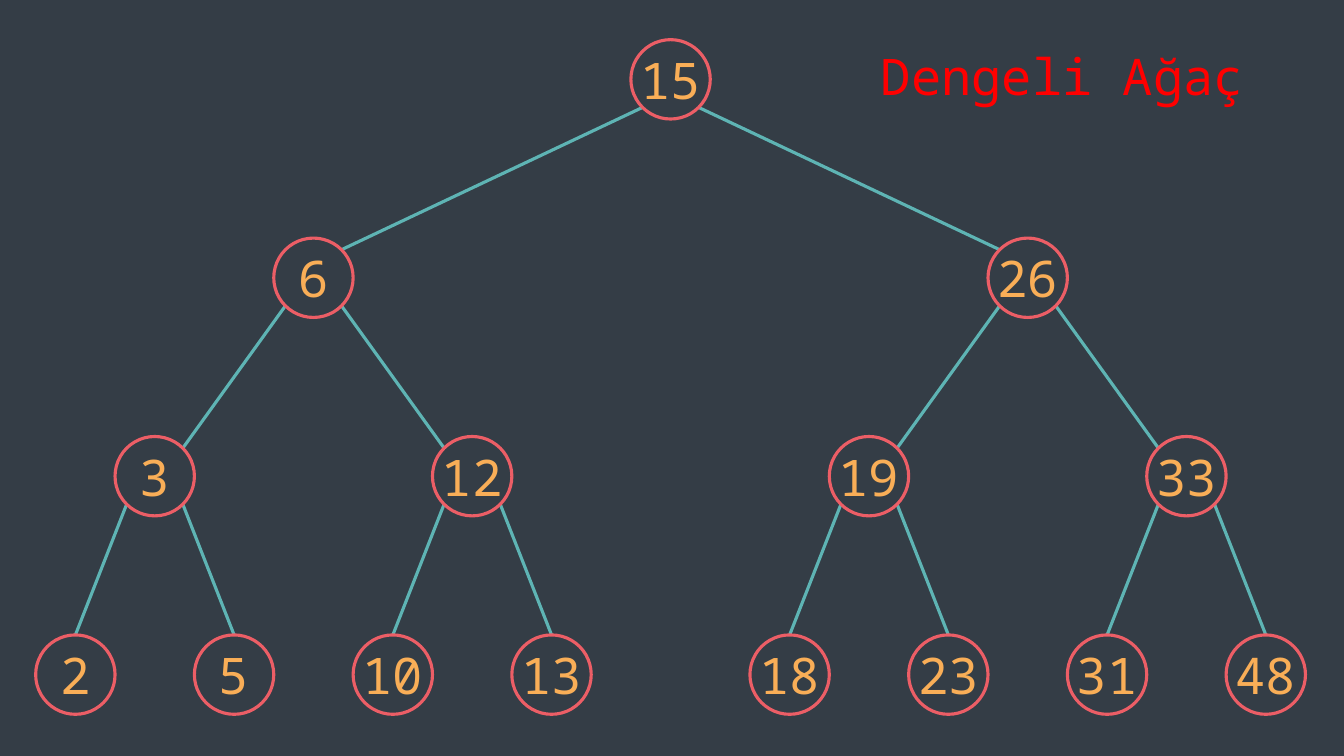
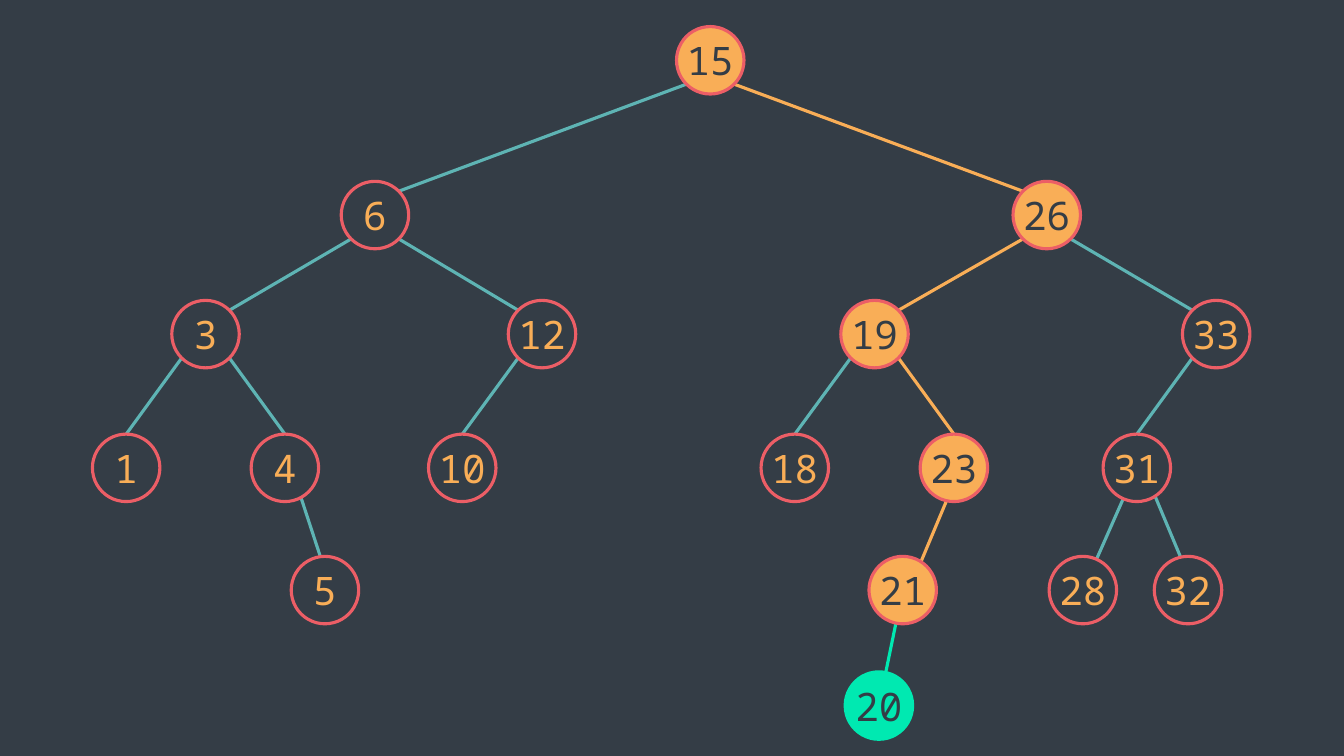
from dataclasses import dataclass
from math import sqrt

from lxml.etree import SubElement
from pptx import Presentation
from pptx.dml.color import RGBColor
from pptx.enum.shapes import MSO_CONNECTOR, MSO_SHAPE
from pptx.enum.text import MSO_ANCHOR, MSO_AUTO_SIZE, PP_ALIGN
from pptx.oxml.ns import qn
from pptx.util import Cm, Pt

BACKGROUND = RGBColor(0x34, 0x3D, 0x46)
CORAL = RGBColor(0xEC, 0x5E, 0x66)
TEAL = RGBColor(0x5E, 0xB4, 0xB4)
ORANGE = RGBColor(0xF9, 0xAE, 0x57)
GREEN = RGBColor(0x00, 0xE9, 0xB1)
RED = RGBColor(0xFF, 0x00, 0x00)
FONT = "Noto Sans Mono"
LINE_WIDTH = Pt(2.25)


@dataclass
class Style:
    fill: RGBColor
    outline: RGBColor
    text: RGBColor
    edge: RGBColor


PLAIN = Style(BACKGROUND, CORAL, ORANGE, TEAL)
VISITED = Style(ORANGE, CORAL, BACKGROUND, ORANGE)
INSERTED = Style(GREEN, GREEN, BACKGROUND, GREEN)

BALANCED_VALUES = [15, 6, 26, 3, 12, 19, 33, 2, 5, 10, 13, 18, 23, 31, 48]
BALANCED_OFFSETS = [9, 4, 2]
LEVEL_GAP = 5

SEARCH_LEVELS = [0, 3.9, 6.9, 10.27, 13.35, 16.26]
SEARCH_NODES = [
    (15, None, 14.72, 0),
    (6, 15, 6.27, 1),
    (26, 15, 23.2, 1),
    (3, 6, 2, 2),
    (12, 6, 10.48, 2),
    (19, 26, 18.86, 2),
    (33, 26, 27.47, 2),
    (1, 3, 0, 3),
    (4, 3, 4, 3),
    (10, 12, 8.47, 3),
    (18, 19, 16.85, 3),
    (23, 19, 20.86, 3),
    (31, 33, 25.47, 3),
    (5, 4, 5.01, 4),
    (21, 23, 19.57, 4),
    (28, 31, 24.11, 4),
    (32, 31, 26.76, 4),
    (20, 21, 18.97, 5),
]
SEARCH_STYLES = dict.fromkeys([15, 26, 19, 23, 21], VISITED) | {20: INSERTED}
EDGE_SHIFTS = {5: 0.16, 21: 0.16, 32: 0.16}


def add_slide(prs):
    s = prs.slides.add_slide(prs.slide_layouts[6])
    s.background.fill.solid()
    s.background.fill.fore_color.rgb = BACKGROUND
    return s


def write(tf, text, size, color, align=PP_ALIGN.LEFT):
    p = tf.paragraphs[0]
    p.alignment = align
    r = p.add_run()
    r.text = text
    r.font.name = FONT
    r.font.size = Pt(size)
    r.font.color.rgb = color


def add_title(s, text, left, top, width, height):
    sp = s.shapes.add_textbox(Cm(left), Cm(top), Cm(width), Cm(height))
    sp.text_frame.word_wrap = True
    sp.text_frame.auto_size = MSO_AUTO_SIZE.SHAPE_TO_FIT_TEXT
    write(sp.text_frame, text, 36, RED)


def add_edge(s, start, end, color):
    points = [Cm(v) for v in (*start, *end)]
    line = s.shapes.add_connector(MSO_CONNECTOR.STRAIGHT, *points)
    line.line.color.rgb = color
    line.line.width = LINE_WIDTH
    SubElement(line._element.spPr, qn("a:effectLst"))


def add_node(s, value, x, y, diameter, size, style):
    radius = diameter / 2
    sp = s.shapes.add_shape(MSO_SHAPE.OVAL, Cm(x - radius), Cm(y - radius),
                            Cm(diameter), Cm(diameter))
    sp.shadow.inherit = False
    sp.fill.solid()
    sp.fill.fore_color.rgb = style.fill
    sp.line.color.rgb = style.outline
    sp.line.width = LINE_WIDTH
    tf = sp.text_frame
    tf.word_wrap = False
    tf.vertical_anchor = MSO_ANCHOR.MIDDLE
    write(tf, str(value), size, style.text, PP_ALIGN.CENTER)


def edge_ends(parent, child, level, radius, shift):
    (px, py), (cx, cy) = parent, child
    if level > 3:
        return (px + shift, py), (cx + shift, cy)
    corner = radius / sqrt(2)
    side = corner if cx > px else -corner
    start = px + side, py + corner
    if level == 3:
        return start, (cx, cy - radius)
    return start, (cx - side, cy - corner)


def add_tree(s, nodes, levels, left, top, diameter, size, styles=None, shifts=None):
    styles, shifts = styles or {}, shifts or {}
    radius = diameter / 2
    centers = {value: (left + radius + x, top + radius + levels[level])
               for value, _, x, level in nodes}
    for value, parent, _, level in nodes:
        if parent is not None:
            start, end = edge_ends(centers[parent], centers[value], level,
                                   radius, shifts.get(value, 0))
            add_edge(s, start, end, styles.get(value, PLAIN).edge)
    for value, (x, y) in centers.items():
        add_node(s, value, x, y, diameter, size, styles.get(value, PLAIN))


def balanced_nodes():
    nodes = [(BALANCED_VALUES[0], None, 15, 0)]
    for i, value in enumerate(BALANCED_VALUES[1:], 1):
        parent, _, x, level = nodes[(i - 1) // 2]
        offset = BALANCED_OFFSETS[level]
        nodes.append((value, parent, x - offset if i % 2 else x + offset, level + 1))
    return nodes


def balanced_slide(prs):
    s = add_slide(prs)
    levels = [LEVEL_GAP * i for i in range(4)]
    add_tree(s, balanced_nodes(), levels, 0.9, 1, 2, 36)
    add_title(s, "Dengeli Ağaç", 21.95, 1.02, 10.46, 1.8)


def search_slide(prs):
    s = add_slide(prs)
    add_tree(s, SEARCH_NODES, SEARCH_LEVELS, 2.33, 0.67, 1.7, 28,
             SEARCH_STYLES, EDGE_SHIFTS)


def main():
    prs = Presentation()
    prs.slide_width, prs.slide_height = Cm(33.87), Cm(19.05)
    balanced_slide(prs)
    search_slide(prs)
    prs.save("out.pptx")


if __name__ == "__main__":
    main()
